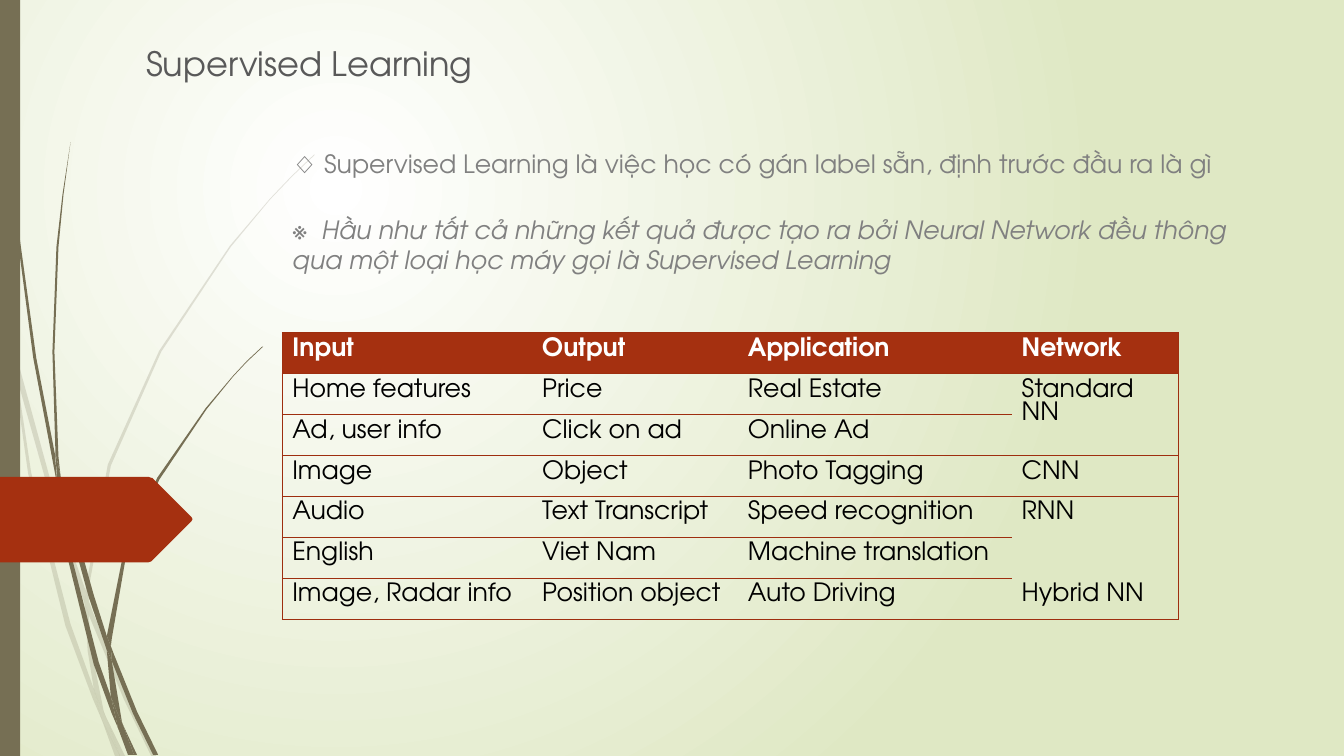
from dataclasses import dataclass

from lxml.etree import SubElement
from pptx import Presentation
from pptx.dml.color import RGBColor as Rgb
from pptx.enum.shapes import MSO_SHAPE as Preset
from pptx.enum.text import MSO_ANCHOR as Anchor, MSO_AUTO_SIZE as AutoSize, PP_ALIGN as Align
from pptx.oxml.ns import qn
from pptx.util import Pt

TITLE = "Supervised Learning"
DEFINITION = "◇ Supervised Learning là việc học có gán label sẵn, định trước đầu ra là gì"
REMARK = ("※\tHầu như tất cả những kết quả được tạo ra bởi Neural Network đều thông "
          "qua một loại học máy gọi là Supervised Learning")
APPLICATIONS = [
    ("Input", "Output", "Application", "Network"),
    ("Home features", "Price", "Real Estate", "Standard NN"),
    ("Ad, user info", "Click on ad", "Online Ad", None),
    ("Image", "Object", "Photo Tagging", "CNN"),
    ("Audio", "Text Transcript", "Speed recognition", "RNN"),
    ("English", "Viet Nam", "Machine translation", None),
    ("Image, Radar info", "Position object", "Auto Driving", "Hybrid NN"),
]
COLUMN_WIDTHS = (178.5, 147, 195.5, 119)
ROW_HEIGHT = 29.25
OPEN_BELOW = {(1, 3), (4, 3), (5, 3)}  # Network cells with no line under them

# Corners of the grass blades, on a grid of GRID points.
GRID = 0.72
FAINT_BLADES = [
    [(11, 350), (9, 322), (0, 282), (0, 299), (10, 344)],
    [(58, 522), (84, 599), (85, 586), (62, 520), (14, 345), (17, 376)],
    [(92, 607), (88, 596), (88, 610), (123, 694), (150, 750), (155, 750), (127, 692)],
    [(119, 750), (124, 750), (105, 711)],
    [(93, 683), (70, 619), (31, 469), (17, 376), (11, 350), (28, 470), (65, 621),
     (92, 693), (101, 714), (99, 707)],
    [(84, 599), (87, 646), (93, 683), (96, 692), (105, 711), (103, 706), (91, 646),
     (88, 610), (88, 608)],
    [(88, 584), (110, 462), (160, 349), (229, 245), (268, 198), (290, 175), (312, 154),
     (312, 153), (289, 175), (268, 197), (228, 244), (158, 348), (107, 461), (85, 584),
     (85, 586), (88, 596)],
    [(101, 714), (114, 750), (119, 750)],
    [(88, 608), (88, 610), (88, 596), (85, 586), (84, 599)],
    [(96, 692), (93, 683), (99, 707), (101, 714), (119, 750), (105, 711)],
]
DARK_BLADES = [
    [(7, 110), (17, 233), (33, 355), (56, 477), (57, 481), (55, 457), (55, 453), (36, 355),
     (19, 232), (8, 109), (5, 48), (4, 0), (3, 0), (4, 48)],
    [(88, 592), (106, 645), (106, 633), (106, 631), (93, 590), (60, 472), (64, 505)],
    [(113, 649), (110, 641), (111, 656), (132, 708), (152, 749), (157, 749), (136, 706)],
    [(110, 691), (98, 657), (72, 556), (64, 505), (57, 477), (68, 557), (93, 659),
     (111, 708), (117, 722), (116, 717)],
    [(60, 472), (58, 453), (54, 349), (58, 245), (63, 193), (70, 141), (62, 193), (56, 245),
     (52, 349), (55, 449)],
    [(133, 749), (136, 749), (122, 719)],
    [(57, 477), (64, 505), (60, 472), (55, 449), (55, 453)],
    [(111, 633), (125, 552), (158, 476), (205, 406), (231, 374), (245, 359), (261, 344),
     (260, 344), (245, 358), (231, 373), (204, 405), (156, 474), (122, 551), (106, 631),
     (110, 641)],
    [(117, 722), (127, 749), (131, 749)],
    [(106, 645), (110, 691), (116, 706), (122, 719), (121, 716), (111, 656), (109, 651)],
    [(106, 645), (109, 651), (111, 656), (110, 641), (106, 631), (106, 633)],
    [(116, 706), (110, 691), (116, 717), (117, 722), (130, 749), (133, 749), (122, 719)],
]
ARROW_TAB = [(147, 558), (150, 557), (151, 556), (190, 517), (191, 515), (190, 513),
             (151, 474), (150, 474), (147, 473), (0, 473), (0, 558)]


@dataclass(frozen=True)
class Theme:
    font: str = "TeX Gyre Adventor"
    title_size: float = 24
    body_size: float = 18
    title: str = "595959"
    body: str = "808080"
    cell: str = "000000"
    header: str = "FFFFFF"
    accent: str = "A53010"
    border: str = "9E2E0F"
    grass: str = "766F54"
    glow: str = "FFFFFF"
    ground: str = "DFE8C4"


THEME = Theme()


def write(frame, text, *, color, size=THEME.body_size, bold=False, italic=False, tab=None):
    paragraph = frame.paragraphs[0]
    if tab:
        stops = SubElement(paragraph._p.get_or_add_pPr(), qn("a:tabLst"))
        SubElement(stops, qn("a:tab"), pos=str(Pt(tab)), algn="l")
    run = paragraph.add_run()
    run.text = text
    font = run.font
    font.name, font.size, font.bold, font.italic = THEME.font, Pt(size), bold, italic
    font.color.rgb = Rgb.from_string(color)


def paint(shape, color, opacity=100):
    shape.shadow.inherit = False
    shape.fill.solid()
    shape.fill.fore_color.rgb = Rgb.from_string(color)
    shape.line.fill.background()
    if opacity < 100:
        tint = shape._element.spPr.find(qn("a:solidFill"))[0]
        SubElement(tint, qn("a:alpha"), val=str(opacity * 1000))


def add_outline(slide, corners, color, opacity=100):
    start, *rest = [(Pt(x * GRID), Pt(y * GRID)) for x, y in corners]
    builder = slide.shapes.build_freeform(*start)
    builder.add_line_segments(rest, close=True)
    paint(builder.convert_to_shape(), color, opacity)


def add_background(slide):
    fill = slide.background.fill
    fill.gradient()
    for stop, color, position in zip(fill.gradient_stops, (THEME.glow, THEME.ground), (0, 1)):
        stop.color.rgb, stop.position = Rgb.from_string(color), position
    gradient = slide.element.find(".//" + qn("a:gradFill"))
    gradient.remove(gradient.find(qn("a:lin")))
    glow = SubElement(gradient, qn("a:path"), path="circle")
    SubElement(glow, qn("a:fillToRect"), l="50000", t="50000", r="100000", b="100000")


def add_decoration(slide, height):
    for blades, opacity in ((FAINT_BLADES, 20), (DARK_BLADES, 100)):
        for blade in blades:
            add_outline(slide, blade, THEME.grass, opacity)
    sidebar = slide.shapes.add_shape(Preset.RECTANGLE, 0, 0, Pt(14.4), height)
    paint(sidebar, THEME.grass)
    add_outline(slide, ARROW_TAB, THEME.accent)


def add_title(slide):
    title = slide.shapes.title
    title.left, title.top, title.width, title.height = Pt(97.2), Pt(27), Pt(702), Pt(41.8)
    frame = title.text_frame
    frame.vertical_anchor = Anchor.TOP
    write(frame, TITLE, color=THEME.title, size=THEME.title_size)
    frame.paragraphs[0].alignment = Align.LEFT


def add_note(slide, text, top, width, height, **text_format):
    frame = slide.shapes.add_textbox(Pt(201.6), Pt(top), Pt(width), Pt(height)).text_frame
    frame.word_wrap = True
    frame.auto_size = AutoSize.SHAPE_TO_FIT_TEXT
    write(frame, text, color=THEME.body, **text_format)


def set_borders(cell, visible):
    """Rule the sides named in visible, and clear the other sides."""
    properties = cell._tc.get_or_add_tcPr()
    for place, side in enumerate("LRTB"):
        line = SubElement(properties, qn(f"a:ln{side}"), w=str(Pt(0.75)))
        properties.insert(place, line)
        if side in visible:
            SubElement(SubElement(line, qn("a:solidFill")), qn("a:srgbClr"), val=THEME.border)
        else:
            SubElement(line, qn("a:noFill"))


def add_applications(slide):
    rows, columns = len(APPLICATIONS), len(COLUMN_WIDTHS)
    table = slide.shapes.add_table(rows, columns, Pt(201.6), Pt(237.6), Pt(sum(COLUMN_WIDTHS)),
                                   Pt(rows * ROW_HEIGHT)).table
    table.first_row = table.horz_banding = False
    for column, width in zip(table.columns, COLUMN_WIDTHS):
        column.width = Pt(width)
    for r, entries in enumerate(APPLICATIONS):
        table.rows[r].height = Pt(ROW_HEIGHT)
        for c, entry in enumerate(entries):
            cell = table.cell(r, c)
            sides = {"L": c == 0, "R": c == columns - 1,
                     "T": (r - 1, c) not in OPEN_BELOW, "B": (r, c) not in OPEN_BELOW}
            if r == 0:
                cell.fill.solid()
                cell.fill.fore_color.rgb = Rgb.from_string(THEME.accent)
            else:
                cell.fill.background()
            set_borders(cell, {side for side, shown in sides.items() if shown})
            if entry is None:
                table.cell(r - 1, c).merge(cell)
            else:
                write(cell.text_frame, entry, bold=r == 0,
                      color=THEME.cell if r else THEME.header)


def main():
    deck = Presentation()
    deck.slide_width, deck.slide_height = Pt(960), Pt(540)
    slide = deck.slides.add_slide(deck.slide_layouts[5])
    add_background(slide)
    add_decoration(slide, deck.slide_height)
    add_title(slide)
    add_note(slide, REMARK, 149.2, 702, 51, italic=True, tab=21)
    add_note(slide, DEFINITION, 102.6, 702, 28.8)
    add_applications(slide)
    deck.save("out.pptx")


if __name__ == "__main__":
    main()
